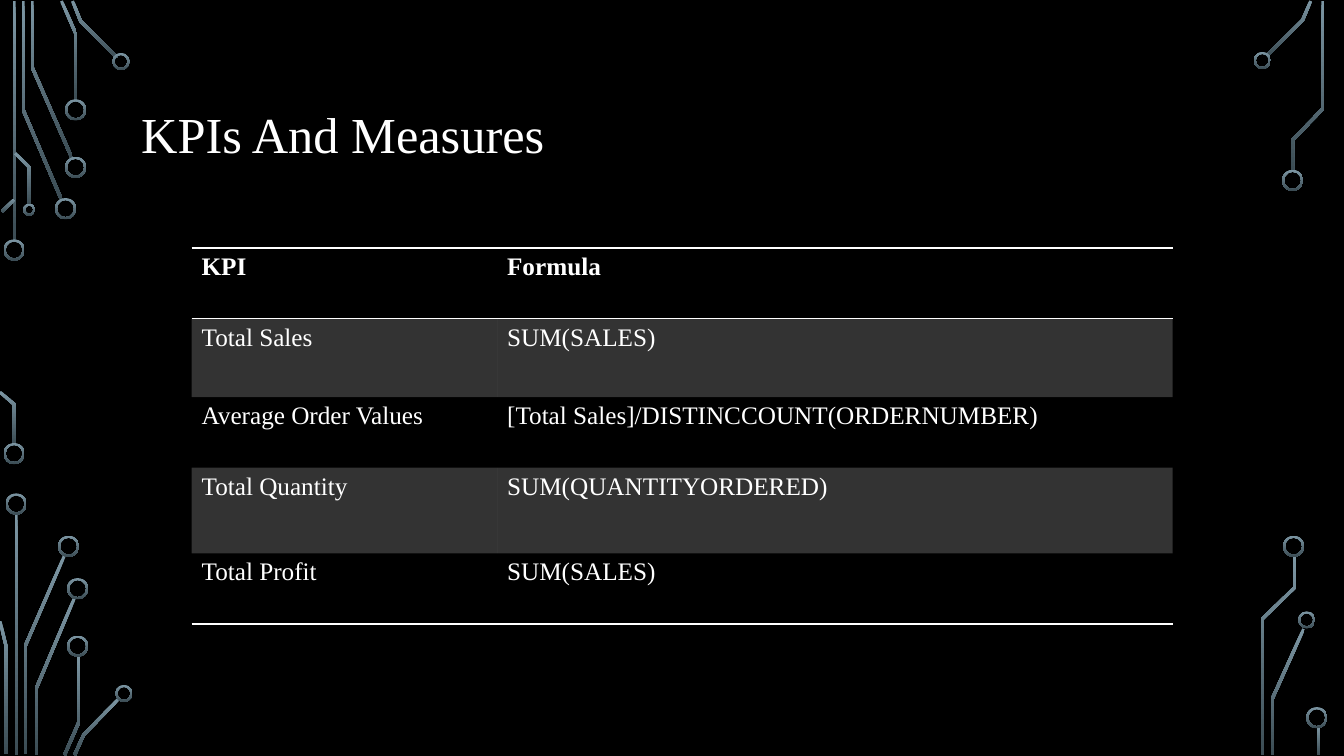
from math import hypot

from lxml.etree import SubElement
from pptx import Presentation
from pptx.dml.color import RGBColor
from pptx.enum.shapes import MSO_SHAPE
from pptx.enum.text import MSO_ANCHOR, PP_ALIGN
from pptx.oxml.ns import qn
from pptx.util import Emu, Pt

# Content: lengths in px, 100 px to the inch
PX = 9144
SLIDE_SIZE = (1333, 750)
FONT = "Times New Roman"
WHITE, BLACK = "FFFFFF", "000000"
TRACE_TOP, TRACE_BOTTOM = "7C96A3", "3B4C54"
TRACE_WIDTH, RING_WALL = 3, 2

TITLE = "KPIs And Measures"
TITLE_BOX = (130, 68, 1078, 137)
TABLE_LEFT, TABLE_TOP = 190, 246
COLUMN_WIDTHS = (303, 670)
ROW_HEIGHTS = (70, 78, 70, 85, 70)
KPI_ROWS = [
    ("KPI", "Formula"),
    ("Total Sales", "SUM(SALES)"),
    ("Average Order Values", "[Total Sales]/DISTINCCOUNT(ORDERNUMBER)"),
    ("Total Quantity", "SUM(QUANTITYORDERED)"),
    ("Total Profit", "SUM(SALES)"),
]

# Centre lines of the circuit traces
TRACES = [
    # top left
    [(14, 1), (14, 240)],
    [(23, 1), (23, 109), (61, 198)],
    [(32, 1), (32, 67), (71, 156)],
    [(61, 1), (75, 33), (75, 100)],
    [(72, 1), (80, 21), (116, 57)],
    [(2, 210), (14, 198)],
    [(15, 152), (29, 166), (29, 203)],
    # bottom left
    [(0, 389), (14, 401), (14, 441)],
    [(16, 510), (16, 749)],
    [(64, 551), (25, 641), (25, 748)],
    [(0, 616), (6, 641), (6, 748)],
    [(74, 593), (36, 683), (36, 749)],
    [(78, 650), (78, 717), (64, 749)],
    [(118, 693), (83, 729), (74, 749)],
    # right
    [(1300, 1), (1292, 20), (1257, 55)],
    [(1312, 1), (1312, 108), (1282, 139), (1282, 169)],
    [(1293, 624), (1262, 693), (1262, 749)],
    [(1284, 552), (1284, 583), (1252, 614), (1252, 749)],
    [(1308, 721), (1308, 749)],
]

# Ring centres by diameter
RINGS = {
    21: [(14, 248), (65, 207), (75, 166), (75, 109), (14, 450), (16, 500),
         (68, 542), (77, 584), (77, 641), (1282, 179), (1283, 542), (1306, 712)],
    17: [(120, 61), (123, 688), (1252, 60), (1296, 615)],
    12: [(29, 208)],
}


def px(value):
    return Emu(round(value * PX))


def color(hex_value):
    return RGBColor.from_string(hex_value)


def add_run(paragraph, text, size, bold=False):
    run = paragraph.add_run()
    run.text = text
    run.font.name = FONT
    run.font.size = Pt(size)
    run.font.bold = bold
    run.font.color.rgb = color(WHITE)


def style_trace(shape):
    shape.shadow.inherit = False
    shape.line.fill.background()
    shape.fill.gradient()
    shape.fill.gradient_angle = 270
    for stop, hex_value in zip(shape.fill.gradient_stops, (TRACE_TOP, TRACE_BOTTOM)):
        stop.color.rgb = color(hex_value)


def ribbon(points, width):
    """Outline of a band with mitred corners around a centre line."""
    normals = []
    for (x1, y1), (x2, y2) in zip(points, points[1:]):
        length = hypot(x2 - x1, y2 - y1)
        normals.append(((y1 - y2) / length, (x2 - x1) / length))
    left, right = [], []
    for (x, y), (ax, ay), (bx, by) in zip(points, normals[:1] + normals, normals + normals[-1:]):
        reach = width / 2 / (1 + ax * bx + ay * by)
        dx, dy = (ax + bx) * reach, (ay + by) * reach
        left.append((px(x + dx), px(y + dy)))
        right.append((px(x - dx), px(y - dy)))
    return left + right[::-1]


def add_trace(shapes, points):
    outline = ribbon(points, TRACE_WIDTH)
    builder = shapes.build_freeform(*outline[0])
    builder.add_line_segments(outline[1:], close=True)
    style_trace(builder.convert_to_shape())


def add_ring(shapes, center_x, center_y, diameter):
    ring = shapes.add_shape(
        MSO_SHAPE.DONUT, px(center_x - diameter / 2), px(center_y - diameter / 2),
        px(diameter), px(diameter))
    ring.adjustments[0] = RING_WALL / diameter
    style_trace(ring)


def set_borders(cell, visible_sides):
    properties = cell._tc.get_or_add_tcPr()
    for position, side in enumerate("LRTB"):
        line = properties.makeelement(qn(f"a:ln{side}"), {"w": str(int(Pt(1)))})
        properties.insert(position, line)
        if side in visible_sides:
            fill = SubElement(line, qn("a:solidFill"))
            SubElement(fill, qn("a:srgbClr"), val=WHITE)
        else:
            SubElement(line, qn("a:noFill"))


def fill_band(cell):
    cell.fill.solid()
    cell.fill.fore_color.rgb = color(WHITE)
    rgb = cell._tc.tcPr.find(qn("a:solidFill")).find(qn("a:srgbClr"))
    SubElement(rgb, qn("a:alpha"), val="20000")


def add_title(slide):
    title = slide.shapes.title
    title.left, title.top, title.width, title.height = map(px, TITLE_BOX)
    title.text_frame.vertical_anchor = MSO_ANCHOR.MIDDLE
    paragraph = title.text_frame.paragraphs[0]
    paragraph.alignment = PP_ALIGN.LEFT
    paragraph.line_spacing = 0.9
    add_run(paragraph, TITLE, 36)


def add_kpi_table(slide):
    frame = slide.shapes.add_table(
        len(KPI_ROWS), len(COLUMN_WIDTHS), px(TABLE_LEFT), px(TABLE_TOP),
        px(sum(COLUMN_WIDTHS)), px(sum(ROW_HEIGHTS)))
    table = frame.table
    table.first_row = False
    table.horz_banding = False
    for column, width in zip(table.columns, COLUMN_WIDTHS):
        column.width = px(width)
    borders = {0: "TB", 1: "T", len(KPI_ROWS) - 1: "B"}
    for row_index, texts in enumerate(KPI_ROWS):
        table.rows[row_index].height = px(ROW_HEIGHTS[row_index])
        for column_index, text in enumerate(texts):
            cell = table.cell(row_index, column_index)
            add_run(cell.text_frame.paragraphs[0], text, 18, bold=row_index == 0)
            if row_index % 2:
                fill_band(cell)
            else:
                cell.fill.background()
            set_borders(cell, borders.get(row_index, ""))


def main():
    presentation = Presentation()
    presentation.slide_width, presentation.slide_height = map(px, SLIDE_SIZE)
    slide = presentation.slides.add_slide(presentation.slide_layouts[5])
    slide.background.fill.solid()
    slide.background.fill.fore_color.rgb = color(BLACK)

    # Circuit decoration
    for points in TRACES:
        add_trace(slide.shapes, points)
    for diameter, centers in RINGS.items():
        for center in centers:
            add_ring(slide.shapes, *center, diameter)

    # Title and table
    add_title(slide)
    add_kpi_table(slide)
    presentation.save("out.pptx")


if __name__ == "__main__":
    main()
